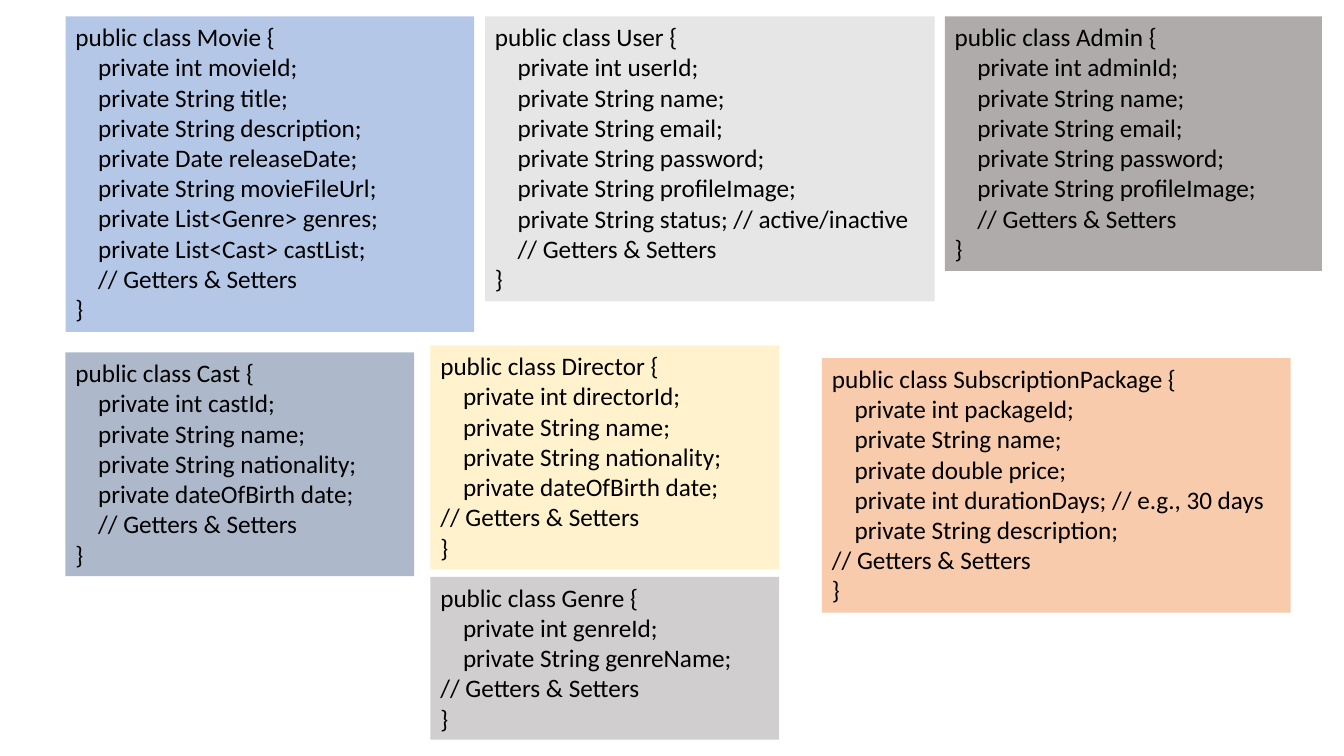
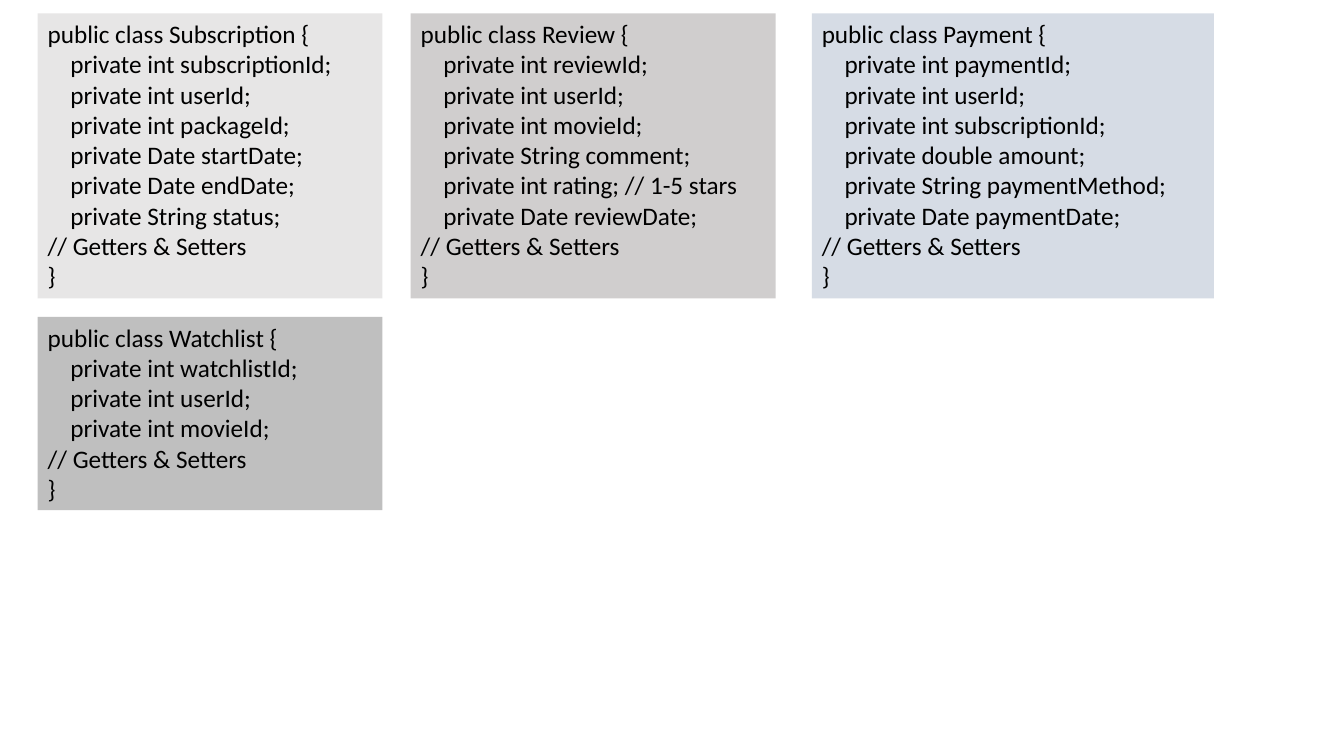
"""Build two slides of colour-coded class listings for a movie service."""
from pptx import Presentation, util as u
from pptx.dml.color import RGBColor
from pptx.enum import text

COLOURS = {
    "text": "000000", "light": "E7E6E6", "grey": "D0CECE", "silver": "BFBFBF",
    "stone": "AFABAB", "blue": "B4C7E7", "slate": "ADB9CA", "mist": "D6DCE5",
    "cream": "FFF2CC", "peach": "F8CBAD",
}
COLUMNS, ROWS = 133.33, 75
LINE_ROWS, PADDING_ROWS = 3.03, 1
INDENT = "    "

DOMAIN_CLASSES = [
    ("Movie", (6.5, 1.63, 40.55), "blue", INDENT, [
        "int movieId;", "String title;", "String description;",
        "Date releaseDate;", "String movieFileUrl;",
        "List<Genre> genres;", "List<Cast> castList;"]),
    ("User", (48.12, 1.63, 44.6), "light", INDENT, [
        "int userId;", "String name;", "String email;", "String password;",
        "String profileImage;", "String status; // active/inactive"]),
    ("Admin", (93.73, 1.63, 37.4), "stone", INDENT, [
        "int adminId;", "String name;", "String email;",
        "String password;", "String profileImage;"]),
    ("Cast", (6.5, 34.96, 34.6), "slate", INDENT, [
        "int castId;", "String name;", "String nationality;",
        "dateOfBirth date;"]),
    ("Director", (42.7, 34.27, 34.6), "cream", "", [
        "int directorId;", "String name;", "String nationality;",
        "dateOfBirth date;"]),
    ("Genre", (42.7, 57.24, 34.6), "grey", "", [
        "int genreId;", "String genreName;"]),
    ("SubscriptionPackage", (81.54, 35.53, 46.5), "peach", "", [
        "int packageId;", "String name;", "double price;",
        "int durationDays; // e.g., 30 days", "String description;"]),
]
ACTIVITY_CLASSES = [
    ("Subscription", (3.74, 1.34, 34.2), "light", "", [
        "int subscriptionId;", "int userId;", "int packageId;",
        "Date startDate;", "Date endDate;", "String status;"]),
    ("Review", (40.74, 1.34, 36.2), "grey", "", [
        "int reviewId;", "int userId;", "int movieId;", "String comment;",
        "int rating; // 1-5 stars", "Date reviewDate;"]),
    ("Payment", (80.54, 1.34, 39.9), "mist", "", [
        "int paymentId;", "int userId;", "int subscriptionId;",
        "double amount;", "String paymentMethod;", "Date paymentDate;"]),
    ("Watchlist", (3.74, 31.44, 34.2), "silver", "", [
        "int watchlistId;", "int userId;", "int movieId;"]),
]


def write_text(para, content, *, size=18, font="Calibri", colour="text"):
    span = para.add_run()
    span.text = content
    span.font.size = u.Pt(size)
    span.font.name = font
    span.font.color.rgb = RGBColor.from_string(COLOURS[colour])


class ClassDeck:
    def __init__(self):
        self.deck = Presentation()
        self.deck.slide_width = u.Inches(13.33)
        self.deck.slide_height = u.Inches(7.5)
        self.column = self.deck.slide_width / COLUMNS
        self.row = self.deck.slide_height / ROWS
        self.page = None

    def add_page(self):
        self.page = self.deck.slides.add_slide(self.deck.slide_layouts[6])

    def add_class(self, name, place, fill, accessor_indent, fields):
        lines = [f"public class {name} {{"]
        lines += [f"{INDENT}private {field}" for field in fields]
        lines += [f"{accessor_indent}// Getters & Setters", "}"]
        left, top, width = place
        height = LINE_ROWS * len(lines) + PADDING_ROWS
        box = self.page.shapes.add_textbox(
            round(left * self.column), round(top * self.row),
            round(width * self.column), round(height * self.row))
        box.fill.solid()
        box.fill.fore_color.rgb = RGBColor.from_string(COLOURS[fill])
        frame = box.text_frame
        frame.word_wrap = True
        frame.auto_size = text.MSO_AUTO_SIZE.SHAPE_TO_FIT_TEXT
        for index, line in enumerate(lines):
            para = frame.add_paragraph() if index else frame.paragraphs[0]
            write_text(para, line)


def main():
    builder = ClassDeck()
    for classes in (DOMAIN_CLASSES, ACTIVITY_CLASSES):
        builder.add_page()
        for listing in classes:
            builder.add_class(*listing)
    builder.deck.save("out.pptx")


if __name__ == "__main__":
    main()
